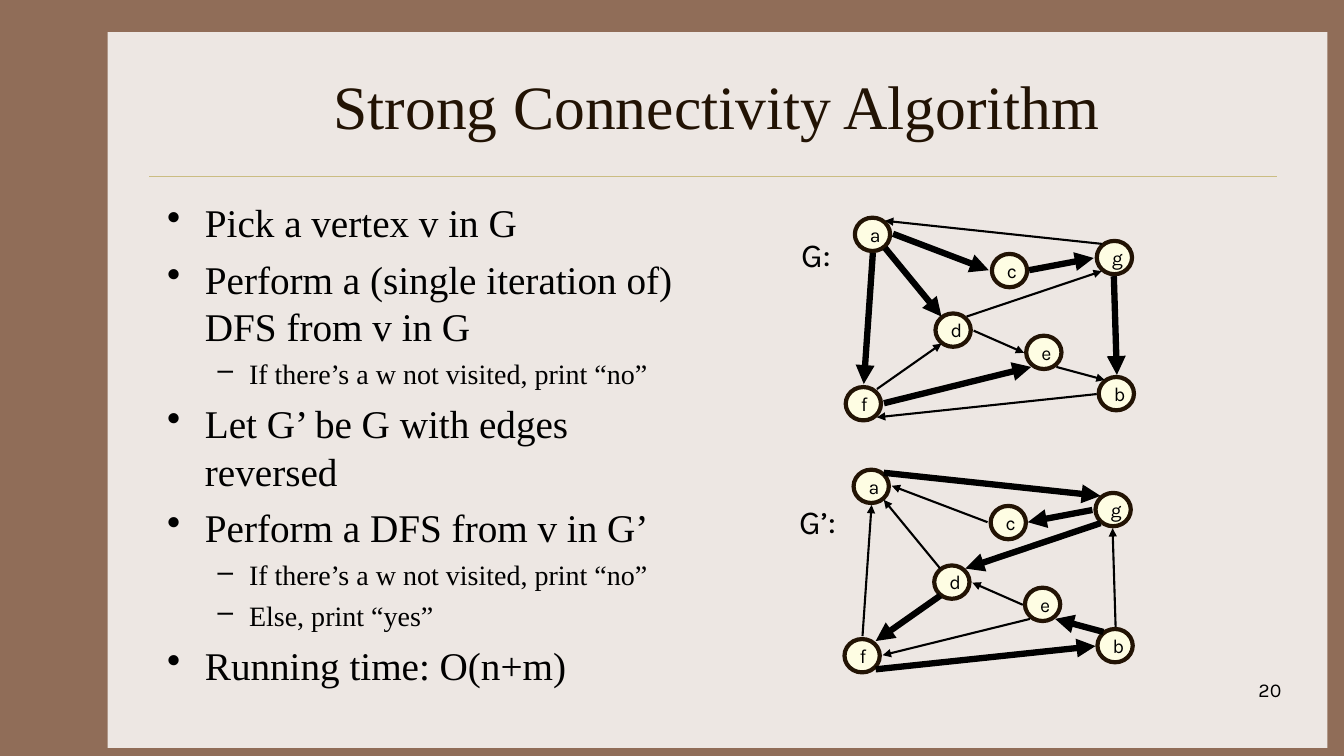
from lxml import etree
from pptx import Presentation
from pptx import util as u
from pptx.dml.color import RGBColor
from pptx.enum import shapes, text
from pptx.oxml.ns import qn

COLORS = {"frame": "906D58", "panel": "EDE7E3", "rule": "CBBD83",
          "dark": "221304", "node": "FEFDE3", "ink": "000000"}
SERIF, SANS = "Times New Roman", "Karla"
LEVELS = [
    {"bullet": "•", "size": 28, "before": 7, "margin": 27, "hang": 27},
    {"bullet": "–", "size": 20, "before": 5, "margin": 58.5, "hang": 22.5},
]
STEPS = [
    (0, "Pick a vertex v in G"),
    (0, "Perform a (single iteration of) DFS from v in G"),
    (1, "If there’s a w not visited, print “no”"),
    (0, "Let G’ be G with edges reversed"),
    (0, "Perform a DFS from v in G’"),
    (1, "If there’s a w not visited, print “no”"),
    (1, "Else, print “yes”"),
    (0, "Running time: O(n+m)"),
]
NODES = {"a": (610.6, 155.5), "d": (668.2, 223.9), "c": (708.5, 181.4),
         "b": (784.8, 269.3), "e": (733, 239.8), "f": (604.1, 276.5),
         "g": (783.4, 172.1)}
EDGES = {
    "af": (623.5, 180.7, 617, 274.3),
    "ad": (632.2, 177.1, 672.5, 226.1),
    "ac": (637.9, 167, 706.3, 193),
    "ga": (787, 174.2, 632.2, 157.7),
    "cg": (735.1, 193, 781.2, 184.3),
    "gb": (795.6, 197.3, 797.8, 267.8),
    "de": (695.5, 236.2, 731.5, 252),
    "eb": (754.6, 262.1, 789.1, 271.4),
    "fd": (626.4, 277.9, 672.5, 245.5),
    "fe": (631.4, 288, 736.6, 262.1),
    "bf": (783.4, 281.5, 626.4, 298.1),
    "dg": (690.5, 226.1, 787, 193.7),
}
FORWARD_TREE = {"af", "ad", "ac", "cg", "gb", "fe"}
REVERSED_TREE = {"ga", "cg", "eb", "fd", "bf", "dg"}


def rgb(name):
    return RGBColor.from_string(COLORS[name])


class Slide:
    def __init__(self, deck):
        self.page = deck.slides.add_slide(deck.slide_layouts[5])
        fill = self.page.background.fill
        fill.solid()
        fill.fore_color.rgb = rgb("frame")

    def style(self, paragraph, size, font, color="ink"):
        for span in paragraph.runs:
            span.font.size = u.Pt(size)
            span.font.name = font
            span.font.color.rgb = rgb(color)

    def shape(self, kind, frame, fill, outline=None):
        shape = self.page.shapes.add_shape(kind, *map(u.Pt, frame))
        shape.shadow.inherit = False
        shape.fill.solid()
        shape.fill.fore_color.rgb = rgb(fill)
        if outline:
            shape.line.color.rgb = rgb(outline)
            shape.line.width = u.Pt(3)
        else:
            shape.line.fill.background()
        return shape

    def title(self, wording, frame):
        title = self.page.shapes.title
        title.element.getparent().append(title.element)
        title.left, title.top, title.width, title.height = map(u.Pt, frame)
        title.text_frame.text = wording
        title.text_frame.vertical_anchor = text.MSO_ANCHOR.MIDDLE
        paragraph = title.text_frame.paragraphs[0]
        paragraph.alignment = text.PP_ALIGN.CENTER
        self.style(paragraph, 44, SERIF, "dark")

    def label(self, wording, frame, size, align=text.PP_ALIGN.LEFT, wrap=False):
        box = self.page.shapes.add_textbox(*map(u.Pt, frame))
        box.text_frame.word_wrap = wrap
        box.text_frame.text = wording
        paragraph = box.text_frame.paragraphs[0]
        paragraph.alignment = align
        self.style(paragraph, size, SANS)

    def bullets(self, items, frame):
        box = self.page.shapes.add_textbox(*map(u.Pt, frame))
        box.text_frame.word_wrap = True
        box.text_frame.text = "\n".join(wording for _, wording in items)
        for index, paragraph in enumerate(box.text_frame.paragraphs):
            depth = items[index][0]
            level = LEVELS[depth]
            paragraph.level = depth
            properties = paragraph._p.get_or_add_pPr()
            properties.set("marL", str(u.Pt(level["margin"])))
            properties.set("indent", str(-u.Pt(level["hang"])))
            etree.SubElement(properties, qn("a:buChar"), char=level["bullet"])
            if index:
                paragraph.space_before = u.Pt(level["before"])
            self.style(paragraph, level["size"], SERIF)

    def line(self, ends, color, width, arrow=False):
        line = self.page.shapes.add_connector(
            shapes.MSO_CONNECTOR.STRAIGHT, *map(u.Pt, ends))
        line.line.color.rgb = rgb(color)
        line.line.width = u.Pt(width)
        if arrow:
            etree.SubElement(line.get_or_add_ln(), qn("a:tailEnd"), type="triangle")
        etree.SubElement(line.element.spPr, qn("a:effectLst"))

    def node(self, name, left, top):
        node = self.shape(shapes.MSO_SHAPE.OVAL, (left, top, 25.2, 23.8), "node", "dark")
        node.text_frame.word_wrap = False
        node.text_frame.vertical_anchor = text.MSO_ANCHOR.MIDDLE
        node.text_frame.text = name
        paragraph = node.text_frame.paragraphs[0]
        paragraph.alignment = text.PP_ALIGN.LEFT
        self.style(paragraph, 14, SANS)

    def graph(self, tree, dx=0, dy=0, flipped=False):
        for name, (left, top) in NODES.items():
            self.node(name, left + dx, top + dy)
        for name, (x1, y1, x2, y2) in EDGES.items():
            start, end = (x1 + dx, y1 + dy), (x2 + dx, y2 + dy)
            ends = end + start if flipped else start + end
            self.line(ends, "ink", 4.5 if name in tree else 1.5, arrow=True)


def main():
    deck = Presentation()
    deck.slide_width, deck.slide_height = u.Pt(960), u.Pt(540)
    slide = Slide(deck)
    slide.shape(shapes.MSO_SHAPE.RECTANGLE, (77, 23, 871.2, 511.2), "panel")
    slide.line((106.6, 126, 912.2, 126), "rule", 0.25)
    slide.title("Strong Connectivity Algorithm", (112.3, 30.2, 800, 90))
    slide.bullets(STEPS, (112.3, 138.2, 391.7, 324))
    slide.label("20", (722.2, 481, 200.2, 36), 14, text.PP_ALIGN.RIGHT, wrap=True)
    slide.label("G:", (565.2, 163.4, 38.9, 36), 24)
    slide.label("G’:", (563.8, 354.2, 43.9, 36), 24)
    slide.graph(FORWARD_TREE)
    slide.graph(REVERSED_TREE, dx=-0.9, dy=180, flipped=True)
    deck.save("out.pptx")


if __name__ == "__main__":
    main()
